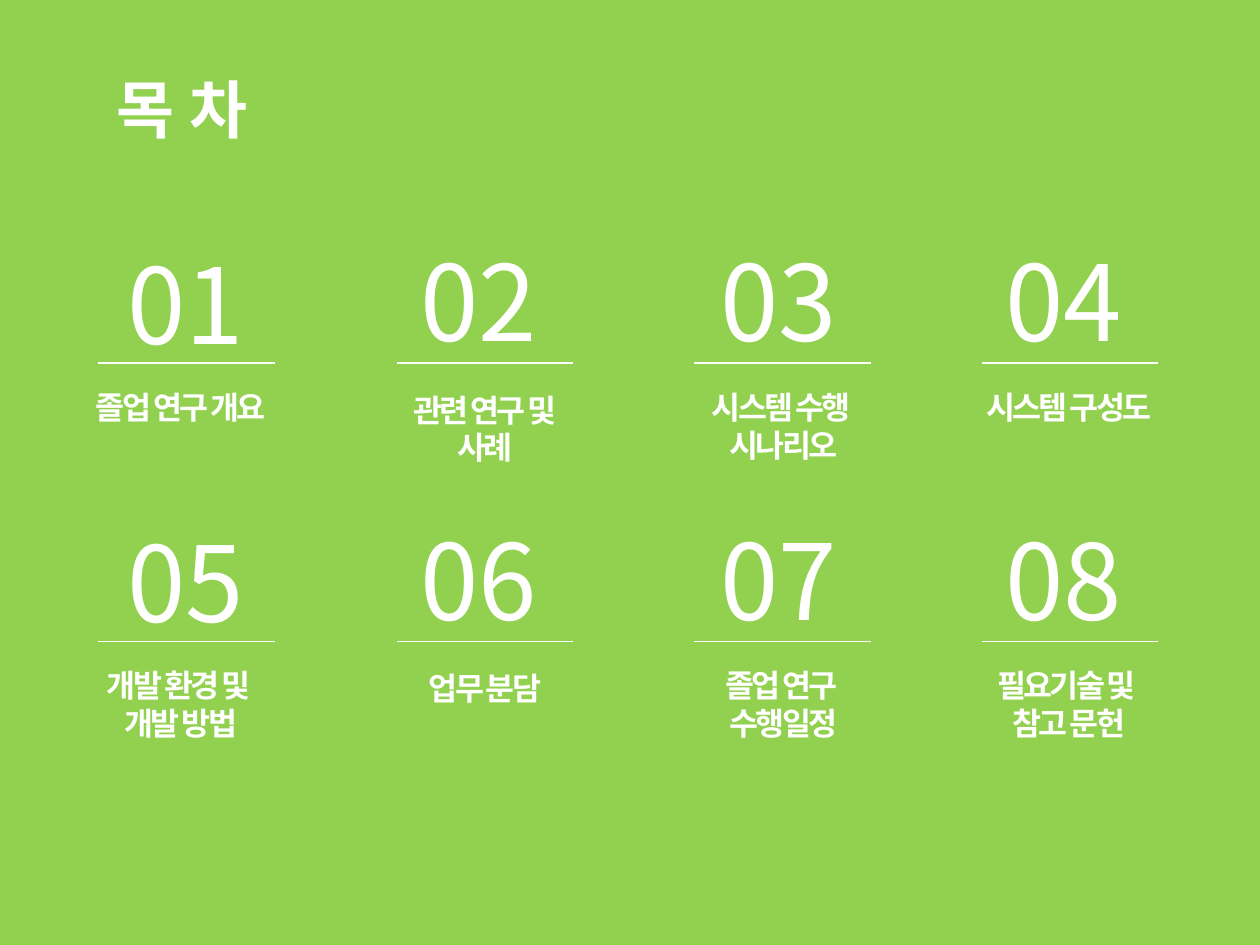
from pptx import Presentation
from pptx.dml.color import RGBColor
from pptx.enum.shapes import MSO_CONNECTOR
from pptx.enum.text import MSO_AUTO_SIZE, PP_ALIGN
from pptx.oxml.ns import qn
from pptx.util import Inches, Pt

STRAIGHT = MSO_CONNECTOR.STRAIGHT
LEFT, CENTER = PP_ALIGN.LEFT, PP_ALIGN.CENTER
FIT_SHAPE = MSO_AUTO_SIZE.SHAPE_TO_FIT_TEXT

GREEN, WHITE = "92D050", "FFFFFF"
HEADING_FONT, LABEL_FONT = "Noto Sans CJK KR", "Arial"

TITLE = "목 차"
SECTIONS = [
    [["졸업 연구 개요"], ["관련 연구 및", "사례"],
     ["시스템 수행 ", "시나리오"], [" 시스템 구성도"]],
    [["개발 환경 및 ", "개발 방법"], ["업무 분담"],
     ["졸업 연구 ", "수행일정"], ["필요기술 및", " 참고 문헌"]],
]
COLUMNS = [
    {"number": 0.91, "rule": 0.78, "label": 0.43, "width": 2.01, "drop": 0},
    {"number": 3.24, "rule": 3.15, "label": 2.71, "width": 2.28, "drop": 0.02},
    {"number": 5.62, "rule": 5.51, "label": 5, "width": 2.44, "drop": 0},
    {"number": 7.88, "rule": 7.79, "label": 7.13, "width": 2.67, "drop": 0},
]
RULE_TOP, ROW_PITCH, RULE_LENGTH = 2.88, 2.21, 1.4
NUMBER_RISE, LABEL_GAP = 1.04, 0.15
LINE_HEIGHT, BOX_PADDING = 0.31, 0.09


def color(value):
    """Turn a hex string into a colour."""
    return RGBColor.from_string(value)


def add_text(slide, lines, left, top, width, height, size, font=HEADING_FONT,
             bold=False, align=LEFT, spacing=None, wrap=True):
    """Add a white text box with one paragraph per line."""
    box = slide.shapes.add_textbox(*map(Inches, (left, top, width, height)))
    frame = box.text_frame
    frame.word_wrap = wrap
    frame.auto_size = FIT_SHAPE
    for index, line in enumerate(lines):
        paragraph = frame.paragraphs[0] if index == 0 else frame.add_paragraph()
        paragraph.alignment = align
        run = paragraph.add_run()
        run.text = line
        run.font.name = font
        run.font.size = Pt(size)
        run.font.bold = bold
        run.font.color.rgb = color(WHITE)
        if spacing is not None:
            run.font._element.set("spc", str(round(spacing * 100)))


def add_rule(slide, left, top):
    """Add a thin white horizontal line."""
    rule = slide.shapes.add_connector(
        STRAIGHT, *map(Inches, (left, top, left + RULE_LENGTH, top)))
    rule.line.color.rgb = color(WHITE)
    rule.line.width = Pt(0.75)
    properties = rule._element.spPr
    properties.append(properties.makeelement(qn("a:effectLst"), {}))


def add_section(slide, number, lines, column, rule_top):
    """Add a numbered section with its line and label."""
    drop = column["drop"]
    number_drop = 0.02 if column is COLUMNS[0] else 0
    add_rule(slide, column["rule"], rule_top)
    add_text(slide, lines, column["label"], rule_top + LABEL_GAP + drop,
             column["width"], BOX_PADDING + LINE_HEIGHT * len(lines), 18,
             font=LABEL_FONT, bold=True, align=CENTER, spacing=-1.5)
    add_text(slide, [f"{number:02d}"], column["number"],
             rule_top - NUMBER_RISE + number_drop - 0.01, 1.18, 1.11, 60, wrap=False)


def main():
    """Build the contents slide."""
    presentation = Presentation()
    presentation.slide_width, presentation.slide_height = Inches(10), Inches(7.5)
    slide = presentation.slides.add_slide(presentation.slide_layouts[6])
    slide.background.fill.solid()
    slide.background.fill.fore_color.rgb = color(GREEN)
    add_text(slide, [TITLE], 0.83, 0.51, 4.57, 0.71, 36, bold=True)
    for row, sections in enumerate(SECTIONS):
        for index, (lines, column) in enumerate(zip(sections, COLUMNS)):
            number = row * len(COLUMNS) + index + 1
            add_section(slide, number, lines, column, RULE_TOP + row * ROW_PITCH)
    presentation.save("out.pptx")


if __name__ == "__main__":
    main()
